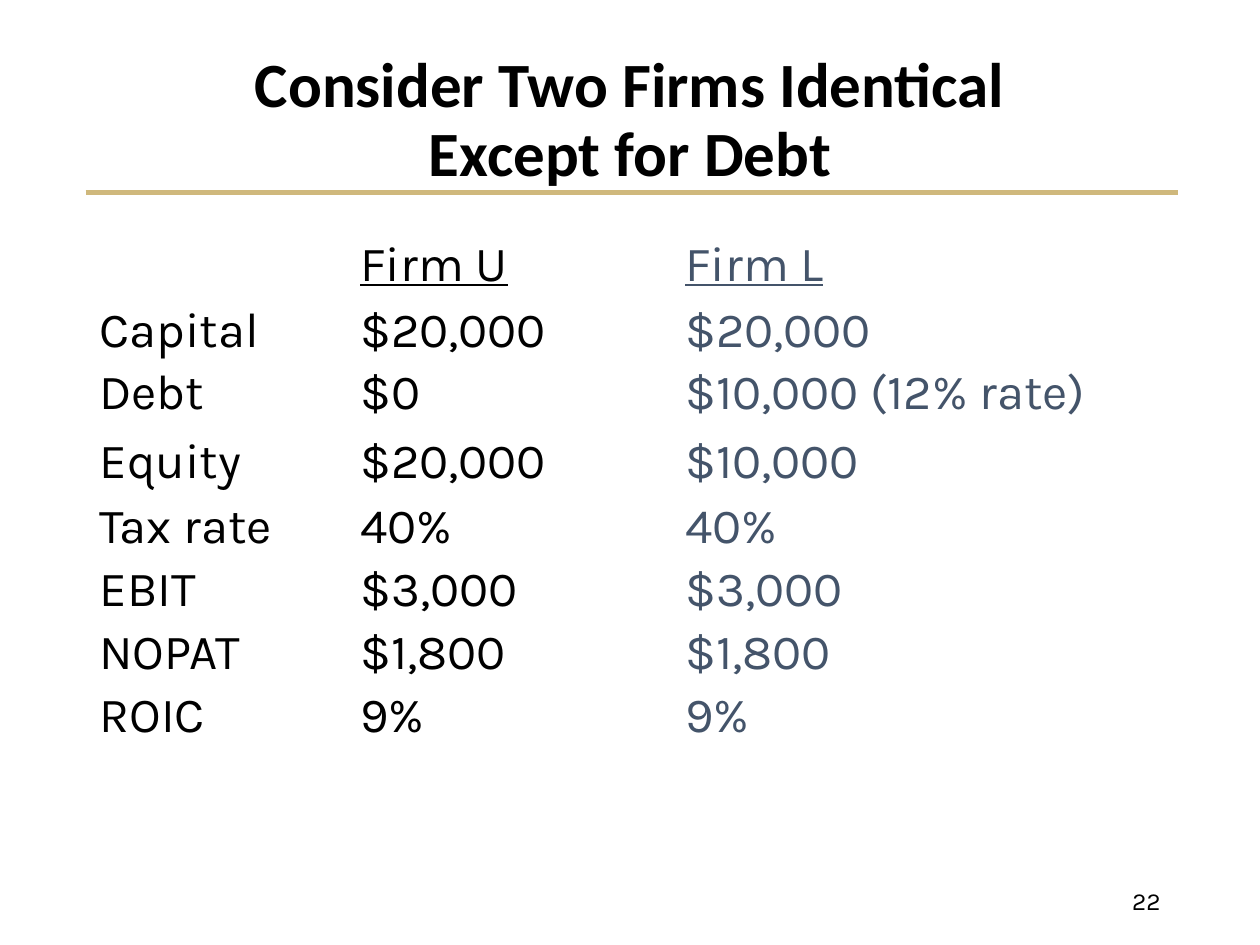
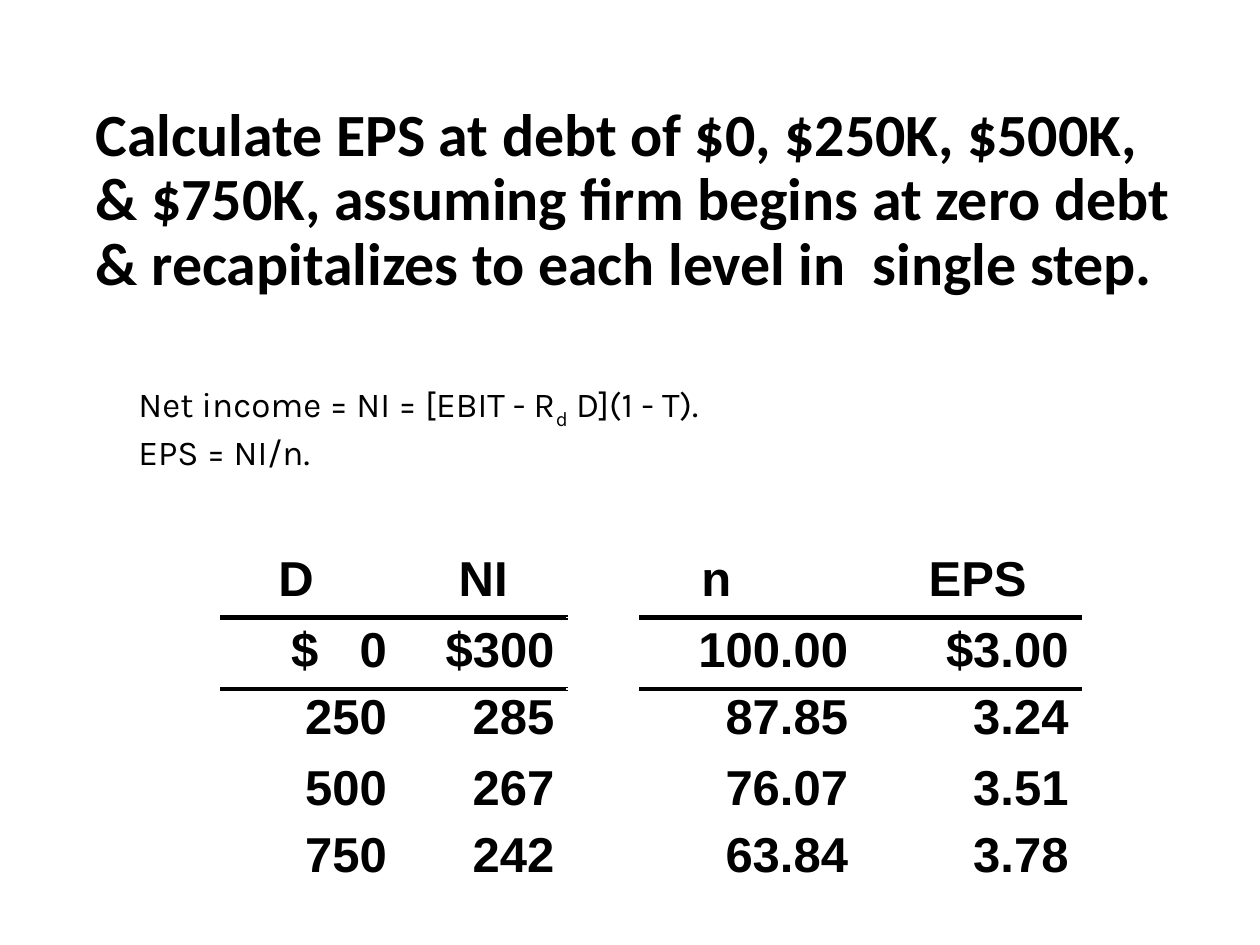
import copy
from dataclasses import dataclass

import pptx
import pptx.dml.color
import pptx.enum.shapes
import pptx.enum.text
import pptx.oxml
import pptx.oxml.ns
import pptx.util

Inches = pptx.util.Inches
Pt = pptx.util.Pt
Align = pptx.enum.text.PP_ALIGN
Anchor = pptx.enum.text.MSO_ANCHOR
qn = pptx.oxml.ns.qn
NS = pptx.oxml.ns.nsdecls("a")


@dataclass(frozen=True)
class Theme:
    black: str = "000000"
    white: str = "FFFFFF"
    gold: str = "CFB87C"
    slate: str = "44546A"
    head: str = "Calibri"
    body: str = "Karla"
    figure: str = "Arial"
    title: float = 36
    ask: float = 34.2
    cell: float = 28
    note: float = 20
    page: float = 14
    rule: float = 3


THEME = Theme()


def rgb(color):
    return pptx.dml.color.RGBColor.from_string(color)


def write(frame, *lines, font=THEME.body, size=THEME.cell, color=THEME.black,
          bold=False, under=False, align=Align.LEFT, space=None, tab=None):
    """Fill a frame; a line is a string or a list of (text, baseline) pairs."""
    for i, line in enumerate(lines):
        para = frame.add_paragraph() if i else frame.paragraphs[0]
        para.alignment = align
        if space:
            para.line_spacing = space
        if tab:
            para._p.get_or_add_pPr().append(pptx.oxml.parse_xml(
                f'<a:tabLst {NS}><a:tab pos="{Inches(tab)}" algn="r"/></a:tabLst>'))
        if isinstance(line, str):
            para.text = line
        else:
            for part, base in line:
                run = para.add_run()
                run.text = part
                if base:
                    run._r.get_or_add_rPr().set("baseline", str(base * 1000))
        for run in para.runs:
            face = run.font
            face.name, face.size, face.bold = font, Pt(size), bold
            face.underline = under
            face.color.rgb = rgb(color)
        for gap in para._p.findall(qn("a:br")):
            gap.insert(0, copy.deepcopy(para.runs[0]._r.rPr))


def add_slide(deck, box, title, size, align):
    slide = deck.slides.add_slide(deck.slide_layouts[5])
    head = slide.shapes.title
    head.left, head.top, head.width, head.height = map(Inches, box)
    frame = head.text_frame
    frame.word_wrap = True
    frame.auto_size = pptx.enum.text.MSO_AUTO_SIZE.NONE
    frame.vertical_anchor = Anchor.MIDDLE
    write(frame, title, font=THEME.head, size=size, bold=True,
          align=align, space=0.9)
    return slide


def add_text(slide, box, *lines, anchor=Anchor.TOP, **style):
    frame = slide.shapes.add_textbox(*map(Inches, box)).text_frame
    frame.word_wrap = True
    frame.vertical_anchor = anchor
    write(frame, *lines, **style)


def add_rule(slide, left, right, top):
    rule = slide.shapes.add_connector(
        pptx.enum.shapes.MSO_CONNECTOR.STRAIGHT,
        Inches(left), Inches(top), Inches(right), Inches(top))
    rule.line.color.rgb = rgb(THEME.gold)
    rule.line.width = Pt(THEME.rule)
    rule._element.spPr.append(pptx.oxml.parse_xml(f"<a:effectLst {NS}/>"))


def add_grid(slide, left, top, cols, rows):
    """Add a plain table with the given column widths and row heights."""
    grid = slide.shapes.add_table(
        len(rows), len(cols), Inches(left), Inches(top),
        Inches(sum(cols)), Inches(sum(rows))).table
    grid.first_row = grid.horz_banding = False
    for col, width in zip(grid.columns, cols):
        col.width = Inches(width)
    for row, height in zip(grid.rows, rows):
        row.height = Inches(height)
    for cell in grid.iter_cells():
        cell.fill.background()
    return grid


def edge(cell, side):
    """Draw a black border on side T or B of a cell."""
    cell._tc.get_or_add_tcPr().insert(0, pptx.oxml.parse_xml(
        f'<a:ln{side} {NS} w="{Pt(THEME.rule)}"><a:solidFill>'
        f'<a:srgbClr val="{THEME.black}"/></a:solidFill></a:ln{side}>'))


def firm_table(slide, left, top):
    data = [
        ("", "Firm U", "Firm L"),
        ("Capital", "$20,000", "$20,000"),
        ("Debt", "$0", "$10,000 (12% rate)"),
        ("Equity", "$20,000", "$10,000"),
        ("Tax rate", "40%", "40%"),
        ("EBIT", "$3,000", "$3,000"),
        ("NOPAT", "$1,800", "$1,800"),
        ("ROIC", "9%", "9%"),
    ]
    inks = (THEME.black, THEME.black, THEME.slate)
    grid = add_grid(slide, left, top, (2.07, 2.58, 3.97),
                    (0.57, 0.49, 0.55, 0.52) + (0.5,) * 4)
    for r, row in enumerate(data):
        for c, (text, ink) in enumerate(zip(row, inks)):
            cell = grid.cell(r, c)
            if r:
                cell.margin_top = cell.margin_bottom = 0
            if text:
                write(cell.text_frame, text, color=ink, under=r == 0)


def eps_table(slide, left, top):
    data = [
        ("D", "NI", "", "n", "EPS"),
        ("$\t0", "$300", "", "100.00", "$3.00"),
        ("250", "285", "", "87.85", "3.24"),
        ("500", "267", "", "76.07", "3.51"),
        ("750", "242", "", "63.84", "3.78"),
    ]
    grid = add_grid(slide, left, top, (1.42, 1.33, 0.58, 1.75, 1.75),
                    (0.57, 0.57, 0.52, 0.57, 0.52))
    for r, row in enumerate(data):
        for c, text in enumerate(row):
            if not text:
                continue
            cell = grid.cell(r, c)
            if r < 2:
                edge(cell, "T" if r else "B")
            split = "\t" in text
            if split:
                cell.margin_left, cell.margin_right = Inches(0.56), Inches(0.05)
            align = Align.CENTER if r == 0 else Align.LEFT if split else Align.RIGHT
            write(cell.text_frame, text, font=THEME.figure, bold=True,
                  align=align, space=0.9 if r in (2, 4) else None,
                  tab=0.76 if split else None)
    grid.cell(0, 0).margin_right = Inches(0.32)
    grid.cell(0, 3).margin_right = Inches(0.64)
    grid.cell(0, 4).margin_left = Inches(0.21)


def firm_slide(deck):
    slide = add_slide(deck, (0.69, 0.4, 8.62, 1.13),
                      "Consider Two Firms Identical\vExcept for Debt",
                      THEME.title, Align.CENTER)
    add_rule(slide, 0.68, 9.35, 1.53)
    firm_table(slide, 0.69, 1.83)
    add_text(slide, (7.06, 6.95, 2.25, 0.4), "22", anchor=Anchor.MIDDLE,
             size=THEME.page, align=Align.RIGHT)


def eps_slide(deck):
    slide = add_slide(
        deck, (0.66, 0.58, 8.81, 2.04),
        "Calculate EPS at debt of $0, $250K, $500K, & $750K, assuming firm "
        "begins at zero debt & recapitalizes to each level in  single step.",
        THEME.ask, Align.LEFT)
    head = slide.shapes.title
    head.fill.solid()
    head.fill.fore_color.rgb = rgb(THEME.white)
    add_text(slide, (1, 2.99, 8, 0.77),
             [("Net income = NI = [EBIT - R", 0), ("d", -25),
              (" D](1 - T).", 0)],
             "EPS = NI/n.", size=THEME.note)
    eps_table(slide, 1.75, 4.33)


def main():
    deck = pptx.Presentation()
    deck.slide_width, deck.slide_height = Inches(10), Inches(7.5)
    firm_slide(deck)
    eps_slide(deck)
    deck.save("out.pptx")


if __name__ == "__main__":
    main()
